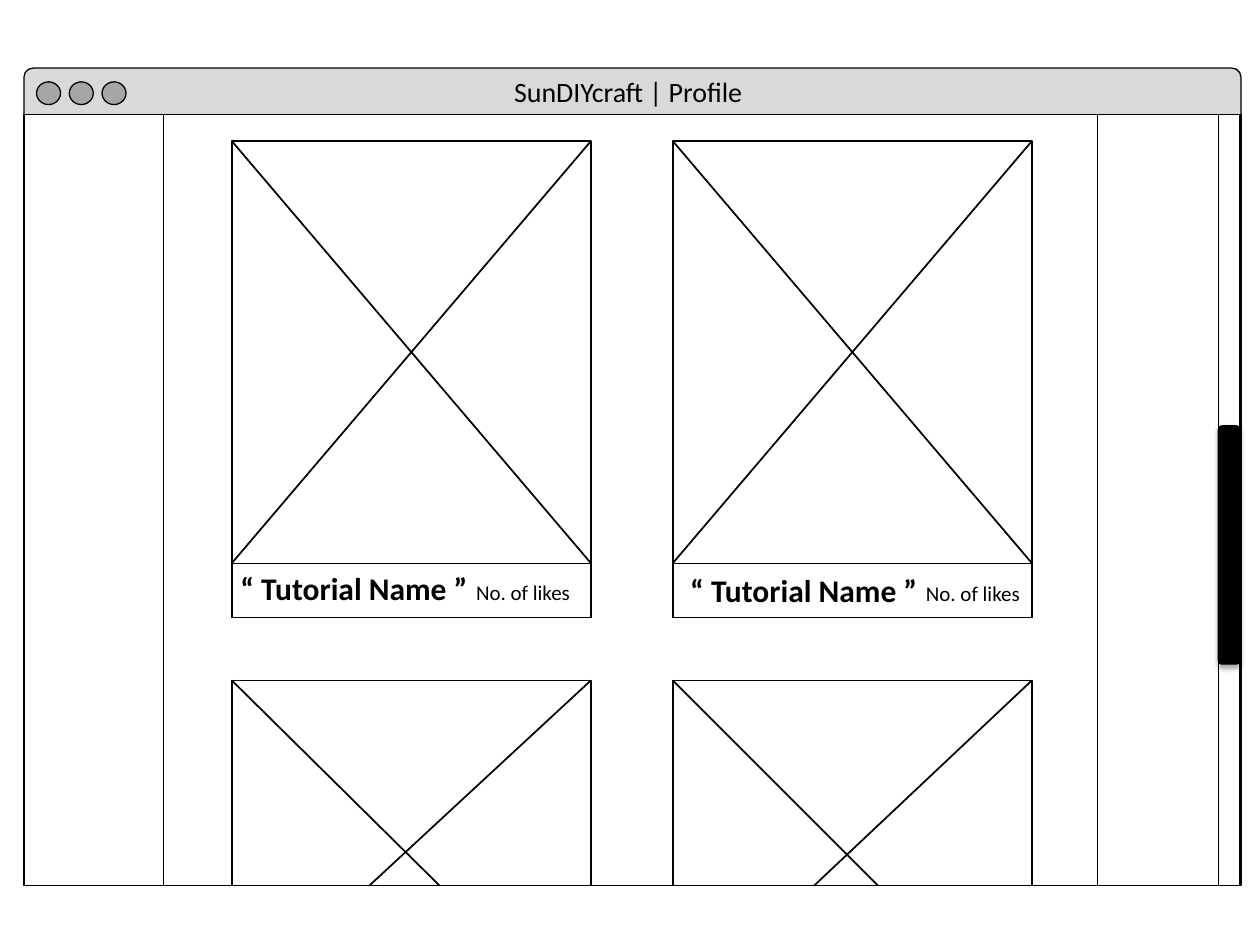
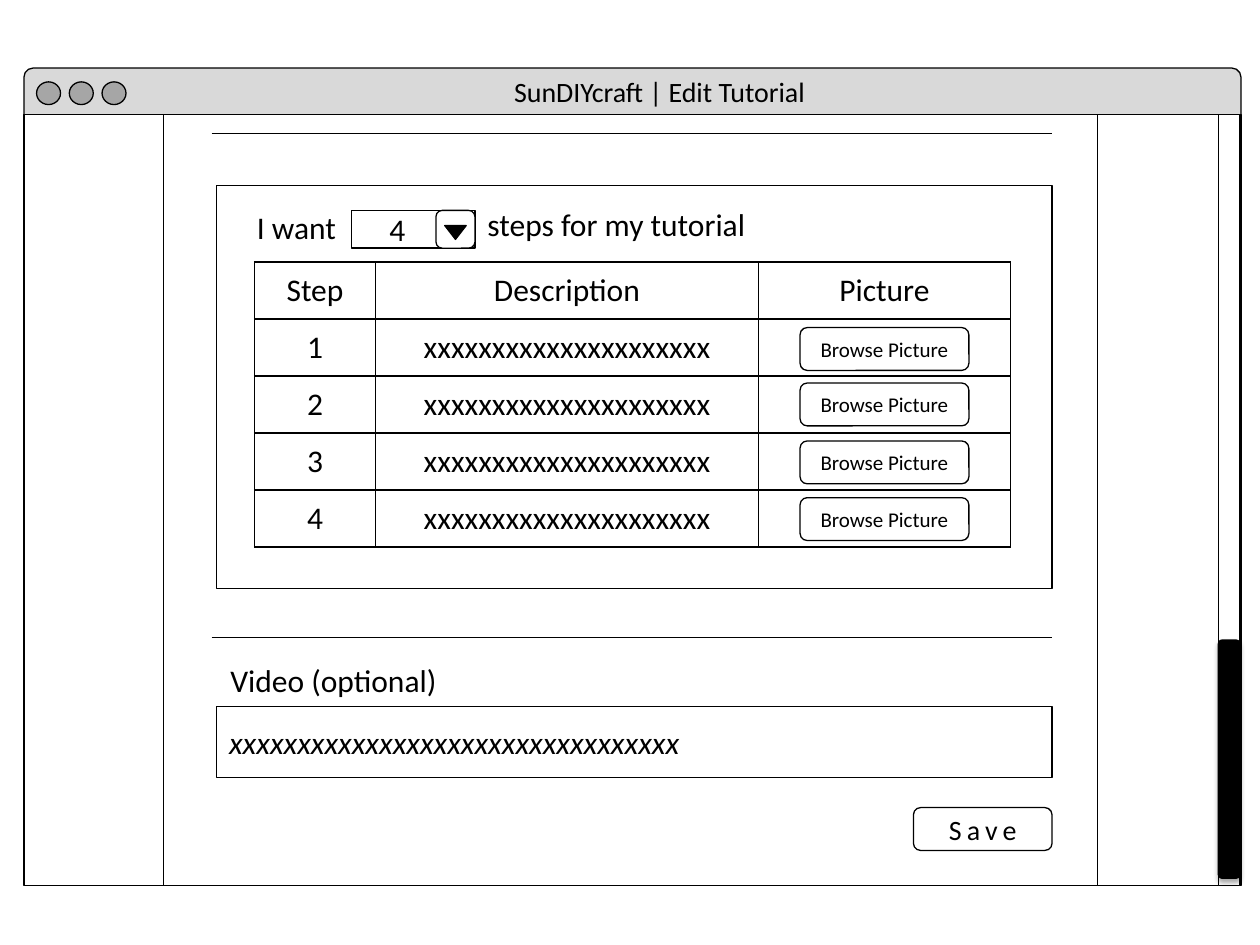
"""Builds two wireframe slides of a craft tutorial site: a profile page and a tutorial editor."""
from lxml import etree
from pptx import Presentation
from pptx.dml.color import RGBColor
from pptx.enum.shapes import MSO_CONNECTOR, MSO_SHAPE
from pptx.enum.text import MSO_ANCHOR, MSO_AUTO_SIZE, PP_ALIGN
from pptx.oxml import parse_xml
from pptx.oxml.ns import nsdecls, qn
from pptx.util import Inches, Pt

RECT, ROUND = MSO_SHAPE.RECTANGLE, MSO_SHAPE.ROUNDED_RECTANGLE
OVAL, TRIANGLE = MSO_SHAPE.OVAL, MSO_SHAPE.ISOSCELES_TRIANGLE
STRAIGHT = MSO_CONNECTOR.STRAIGHT
TOP, MIDDLE = MSO_ANCHOR.TOP, MSO_ANCHOR.MIDDLE
LEFT, CENTER = PP_ALIGN.LEFT, PP_ALIGN.CENTER
NO_FIT = MSO_AUTO_SIZE.NONE
BLACK, WHITE, BAR_GREY, BUTTON_GREY = "000000", "FFFFFF", "D9D9D9", "A6A6A6"
FONT = "Calibri"
PAGE_TOP, PAGE_BOTTOM = 0.91, 7.03
PAGE_HEIGHT = PAGE_BOTTOM - PAGE_TOP


def paint(fill, colour):
    fill.solid()
    fill.fore_color.rgb = RGBColor.from_string(colour)


def draw(slide, kind, box, colour=None):
    shape = slide.shapes.add_shape(kind, *map(Inches, box))
    shape.shadow.inherit = False
    if colour:
        paint(shape.fill, colour)
    else:
        shape.fill.background()
    paint(shape.line.fill, BLACK)
    shape.line.width = Pt(0.75)
    return shape


presentation = Presentation()
presentation.slide_width, presentation.slide_height = Inches(10), Inches(7.5)
title_only = presentation.slide_layouts[5]
pages, writings = [], []

for heading, thumb_top in (("SunDIYcraft | Profile", 3.38), ("SunDIYcraft | Edit Tutorial", 5.08)):
    page = presentation.slides.add_slide(title_only)
    pages.append(page)
    draw(page, ROUND, (0.19, 0.54, 9.66, 0.44), BAR_GREY)
    draw(page, RECT, (0.19, PAGE_TOP, 9.66, PAGE_HEIGHT), WHITE)
    for button in range(3):
        draw(page, OVAL, (0.29 + 0.26 * button, 0.65, 0.19, 0.18), BUTTON_GREY)
    draw(page, RECT, (1.3, PAGE_TOP, 7.41, PAGE_HEIGHT), WHITE)
    draw(page, RECT, (9.67, PAGE_TOP, 0.17, PAGE_HEIGHT), WHITE)
    thumb = draw(page, ROUND, (9.67, thumb_top, 0.17, 1.89), BLACK)
    thumb._element.spPr.find(qn("a:effectLst")).append(parse_xml(
        f'<a:outerShdw {nsdecls("a")} blurRad="{Pt(3.1)}" dist="{Pt(1.8)}" dir="5400000" rotWithShape="0">'
        f'<a:srgbClr val="{BLACK}"><a:alpha val="35000"/></a:srgbClr></a:outerShdw>'))
    title = page.shapes.title
    page.shapes._spTree.append(title._element)
    placing = dict(left=3.98, top=0.54, width=3, height=0.37)
    for side, length in placing.items():
        setattr(title, side, Inches(length))
    title.text_frame.auto_size = NO_FIT
    writings.append((title.text_frame, heading, TOP, LEFT, {"size": Pt(16)}, 0))

profile, editor = pages
lines, labels = [], []

CARD_WIDTH, CARD_TOP, CAPTION_TOP, NEXT_TOP = 2.85, 1.12, 4.47, 5.4
cards = (
    (1.84, 3.49, 2.93, (1.81, 4.47), (3.68, 4.55)),
    (5.34, 6.97, 6.46, (5.38, 4.48), (7.25, 4.56)),
)
for left, falling_end, rising_start, name_at, likes_at in cards:
    right = left + CARD_WIDTH
    draw(profile, RECT, (left, CARD_TOP, CARD_WIDTH, 3.78), WHITE)
    draw(profile, RECT, (left, CAPTION_TOP, CARD_WIDTH, 0.43), WHITE)
    draw(profile, RECT, (left, NEXT_TOP, CARD_WIDTH, PAGE_BOTTOM - NEXT_TOP), WHITE)
    lines += [
        (profile, left, CARD_TOP, right, CAPTION_TOP),
        (profile, left, CAPTION_TOP, right, CARD_TOP),
        (profile, left, NEXT_TOP, falling_end, PAGE_BOTTOM),
        (profile, rising_start, PAGE_BOTTOM, right, NEXT_TOP),
    ]
    labels += [
        (profile, "“ Tutorial Name ”", (*name_at, 2.04, 0.4), {"size": Pt(18), "bold": True}),
        (profile, "No. of likes", (*likes_at, 0.96, 0.3), {"size": Pt(12)}),
    ]

lines += [(editor, 1.68, divider, 8.35, divider) for divider in (1.06, 5.06)]
draw(editor, RECT, (1.72, 1.47, 6.63, 3.2))

step_rows = [("Step", "Description", "Picture")]
step_rows += [(str(step), "x" * 21, "") for step in range(1, 5)]
steps = editor.shapes.add_table(5, 3, *map(Inches, (2.02, 2.08, 6, 2.26))).table
steps.first_row = steps.horz_banding = False
for column, width in zip(steps.columns, (0.96, 3.04, 2)):
    column.width = Inches(width)
for row, texts in zip(steps.rows, step_rows):
    for cell, text in zip(row.cells, texts):
        cell.fill.background()
        cell.vertical_anchor = MIDDLE
        properties = cell._tc.get_or_add_tcPr()
        for position, edge in enumerate("LRTB"):
            properties.insert(position, parse_xml(
                f'<a:ln{edge} {nsdecls("a")} w="{Pt(1)}"><a:solidFill>'
                f'<a:srgbClr val="{BLACK}"/></a:solidFill></a:ln{edge}>'))
        if text:
            writings.append((cell.text_frame, text, MIDDLE, CENTER, {"size": Pt(18)}, 0))

step_count = draw(editor, RECT, (2.79, 1.67, 0.98, 0.3), WHITE)
step_count.text_frame.margin_left = Inches(0.3)
draw(editor, ROUND, (3.46, 1.67, 0.31, 0.3), WHITE)
draw(editor, TRIANGLE, (3.53, 1.79, 0.17, 0.11), BLACK).rotation = 180
video_field = draw(editor, RECT, (1.72, 5.61, 6.63, 0.56))
save_button = draw(editor, ROUND, (7.25, 6.41, 1.1, 0.34))
writings += [
    (step_count.text_frame, "4", MIDDLE, LEFT, {"size": Pt(18)}, 3),
    (video_field.text_frame, "x" * 33, MIDDLE, LEFT, {"size": Pt(18), "italic": True}, 0),
    (save_button.text_frame, "Save", MIDDLE, CENTER, {"size": Pt(16)}, 3),
]
for browse_top in (2.6, 3.04, 3.5, 3.95):
    browse_button = draw(editor, ROUND, (6.35, browse_top, 1.34, 0.34))
    writings.append((browse_button.text_frame, "Browse Picture", MIDDLE, CENTER, {"size": Pt(12)}, 0))

labels += [
    (editor, "I want", (1.94, 1.6, 0.85, 0.4), {"size": Pt(18)}),
    (editor, "steps for my tutorial", (3.77, 1.58, 2.29, 0.4), {"size": Pt(18)}),
    (editor, "Video (optional)", (1.73, 5.2, 1.91, 0.4), {"size": Pt(18)}),
]

for page, *ends in lines:
    line = page.shapes.add_connector(STRAIGHT, *map(Inches, ends))
    paint(line.line.fill, BLACK)
    line.line.width = Pt(1)
    etree.SubElement(line._element.spPr, qn("a:effectLst"))

for page, text, box, style in labels:
    label = page.shapes.add_textbox(*map(Inches, box))
    label.text_frame.word_wrap = False
    writings.append((label.text_frame, text, TOP, LEFT, style, 0))

for frame, text, anchor, alignment, style, spacing in writings:
    frame.vertical_anchor = anchor
    paragraph = frame.paragraphs[0]
    paragraph.alignment = alignment
    run = paragraph.add_run()
    run.text = text
    for attribute, value in {"name": FONT, **style}.items():
        setattr(run.font, attribute, value)
    paint(run.font.fill, BLACK)
    if spacing:
        run._r.get_or_add_rPr().set("spc", str(spacing * 100))

presentation.save("out.pptx")
